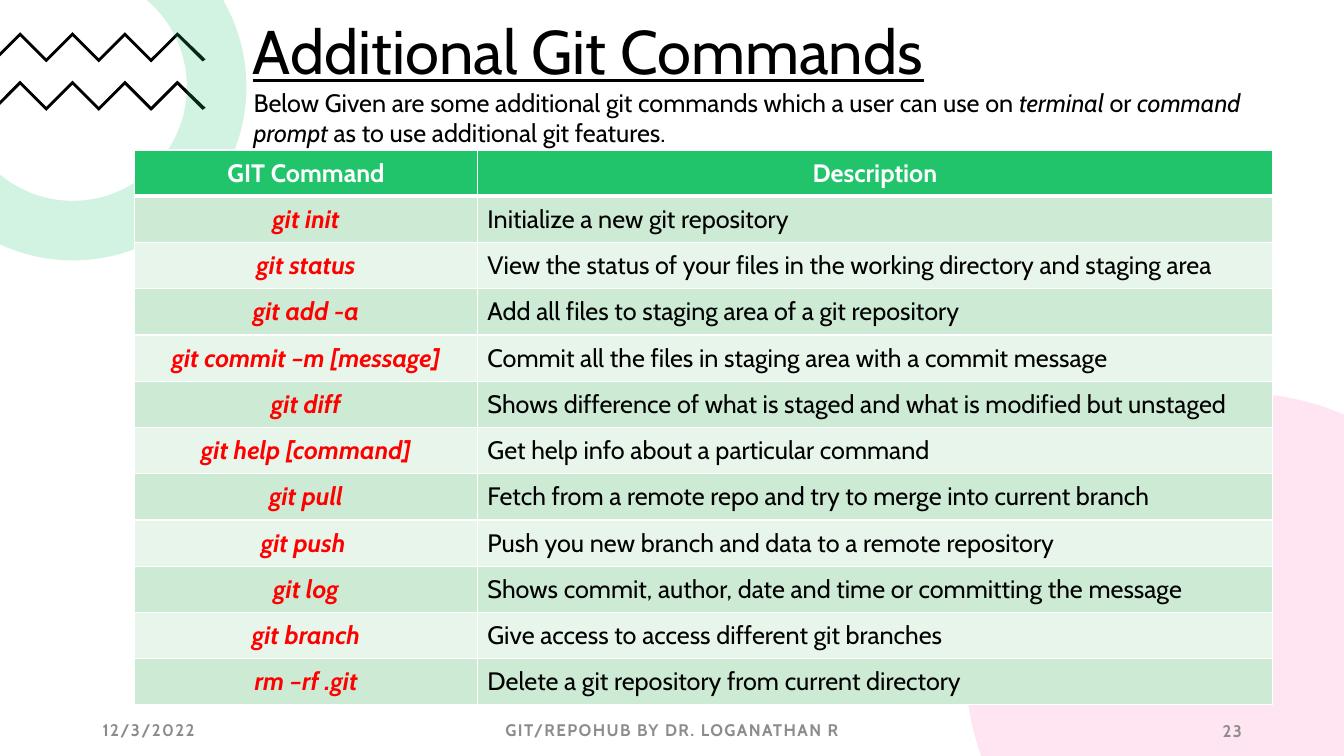
from math import acos, asin, ceil, cos, floor, pi, sin, tan

from lxml.etree import SubElement
from pptx import Presentation
from pptx.dml.color import RGBColor
from pptx.enum.text import MSO_ANCHOR, PP_ALIGN
from pptx.oxml.ns import qn
from pptx.util import Pt

COLORS = {
    "green": "21C46B",
    "pink": "FF80BD",
    "black": "000000",
    "white": "FFFFFF",
    "red": "FF0000",
    "grey": "8C8C8C",
    "band_dark": "CDEAD4",
    "band_light": "E8F5EB",
}
FONT = "Cabin"
PAGE_WIDTH, PAGE_HEIGHT = 960, 540

TITLE = "Additional Git Commands"
INTRO = [
    ("Below Given are some additional git commands which a user can use on ", False),
    ("terminal", True),
    (" or ", False),
    ("command prompt", True),
    (" as to use additional git features.", False),
]
HEADINGS = ("GIT Command", "Description")
COMMANDS = [
    ("git init", "Initialize a new git repository"),
    ("git status", "View the status of your files in the working directory and staging area"),
    ("git add -a", "Add all files to staging area of a git repository"),
    ("git commit –m [message]", "Commit all the files in staging area with a commit message"),
    ("git diff", "Shows difference of what is staged and what is modified but unstaged"),
    ("git help [command]", "Get help info about a particular command"),
    ("git pull", "Fetch from a remote repo and try to merge into current branch"),
    ("git push ", "Push you new branch and data to a remote repository"),
    ("git log", "Shows commit, author, date and time or committing the message"),
    ("git branch", "Give access to access different git branches"),
    ("rm –rf .git", "Delete a git repository from current directory"),
]
FOOTERS = [
    ("12/3/2022", PP_ALIGN.LEFT, (66.2, 506.9, 216, 28.8)),
    ("GIT/REPOHUB BY DR. LOGANATHAN R", PP_ALIGN.CENTER, (318.2, 506.9, 324, 28.8)),
    ("23", PP_ALIGN.RIGHT, (678.2, 507.3, 216, 28.8)),
]


def color(name):
    return RGBColor.from_string(COLORS[name])


def add_span(para, text, size, color_name, bold=False, italic=False):
    span = para.add_run()
    span.text = text
    font = span.font
    font.name, font.size = FONT, Pt(size)
    font.bold, font.italic = bold, italic
    font.color.rgb = color(color_name)
    return span


def add_text_box(page, box):
    frame = page.shapes.add_textbox(*map(Pt, box)).text_frame
    frame.word_wrap = True
    return frame


def add_outline(page, start, segments, color_name, opacity=100):
    points = [(Pt(x), Pt(y)) for segment in segments for x, y in segment]
    builder = page.shapes.build_freeform(Pt(start[0]), Pt(start[1]), scale=1.0)
    builder.add_line_segments(points, close=True)
    shape = builder.convert_to_shape()
    lines = iter(list(shape._element.iter(qn("a:lnTo"))))
    for segment in segments:
        steps = [next(lines) for _ in segment]
        if len(steps) == 3:
            steps[0].tag = qn("a:cubicBezTo")
            for step in steps[1:]:
                steps[0].append(step[0])
                step.getparent().remove(step)
    shape.shadow.inherit = False
    shape.line.fill.background()
    shape.fill.solid()
    shape.fill.fore_color.rgb = color(color_name)
    if opacity < 100:
        tint = shape._element.spPr.find(qn("a:solidFill"))[0]
        SubElement(tint, qn("a:alpha")).set("val", str(opacity * 1000))


def on_circle(center, radius, angle):
    return center[0] + radius * cos(angle), center[1] + radius * sin(angle)


def arc(center, radius, start, end):
    quarter = pi / 2
    low, high = min(start, end), max(start, end)
    stops = [quarter * turn for turn in range(ceil(low / quarter), floor(high / quarter) + 1)]
    angles = [low] + stops + [high]
    if start > end:
        angles.reverse()
    curves = []
    for first, last in zip(angles, angles[1:]):
        pull = 4 / 3 * tan((last - first) / 4) * radius
        (x1, y1), (x2, y2) = (on_circle(center, radius, angle) for angle in (first, last))
        leave = (x1 - pull * sin(first), y1 + pull * cos(first))
        arrive = (x2 + pull * sin(last), y2 - pull * cos(last))
        curves.append([leave, arrive, (x2, y2)])
    return curves


def add_zigzag(page, top):
    step, thickness = 18.72, 2.9
    upper = [(0, top + 14.4)]
    upper += [(14.4 + step * turn, top + step * (turn % 2)) for turn in range(7)]
    lower = [(x, y + thickness) for x, y in upper]
    tip = [(146.9, top + 19.4), (144.7, top + 20.9)]
    corners = upper + tip + lower[::-1]
    add_outline(page, corners[0], [[corner] for corner in corners[1:]], "black")


def add_ring(page, center, outer, inner):
    x, y = center
    start, end = -asin(y / outer), acos(-x / outer)
    hole_start, hole_end = acos(-x / inner), -asin(y / inner)
    segments = arc(center, outer, start, end)
    segments += [[on_circle(center, inner, hole_start)]]
    segments += arc(center, inner, hole_start, hole_end)
    add_outline(page, on_circle(center, outer, start), segments, "green", 20)


def add_disc(page, center, radius):
    bottom = pi - asin((PAGE_HEIGHT - center[1]) / radius)
    right = 2 * pi - acos((PAGE_WIDTH - center[0]) / radius)
    segments = arc(center, radius, bottom, right) + [[(PAGE_WIDTH, PAGE_HEIGHT)]]
    add_outline(page, on_circle(center, radius, bottom), segments, "pink", 20)


def add_title(page, box):
    title = page.shapes.title
    title.left, title.top, title.width, title.height = map(Pt, box)
    frame = title.text_frame
    frame.vertical_anchor = MSO_ANCHOR.MIDDLE
    para = frame.paragraphs[0]
    para.alignment = PP_ALIGN.CENTER
    add_span(para, TITLE, 44, "black").font.underline = True


def add_intro(page, box):
    para = add_text_box(page, box).paragraphs[0]
    for text, italic in INTRO:
        add_span(para, text, 18, "black", italic=italic)


def add_footer(page, text, alignment, box):
    frame = add_text_box(page, box)
    frame.vertical_anchor = MSO_ANCHOR.MIDDLE
    para = frame.paragraphs[0]
    para.alignment = alignment
    span = add_span(para, text, 12, "grey", bold=True)
    span.font._element.set("spc", "100")


def format_cell(cell, fill_name, borders):
    properties = cell._tc.get_or_add_tcPr()
    for side, width in borders.items():
        line = SubElement(properties, qn("a:ln" + side), w=str(Pt(width)))
        fill = SubElement(line, qn("a:solidFill"))
        SubElement(fill, qn("a:srgbClr"), val=COLORS["white"])
    cell.fill.solid()
    cell.fill.fore_color.rgb = color(fill_name)
    cell.vertical_anchor = MSO_ANCHOR.MIDDLE


def add_command_table(page, box):
    rows = [HEADINGS] + COMMANDS
    table = page.shapes.add_table(len(rows), 2, *map(Pt, box)).table
    command_width = 244.8
    table.columns[0].width = Pt(command_width)
    table.columns[1].width = Pt(box[2] - command_width)
    for row_index, texts in enumerate(rows):
        table.rows[row_index].height = Pt(box[3] / len(rows))
        header = row_index == 0
        band = "green" if header else "band_dark" if row_index % 2 else "band_light"
        borders = {"L": 1, "R": 1, "T": 3 if row_index == 1 else 1, "B": 3 if header else 1}
        for column_index, text in enumerate(texts):
            cell = table.cell(row_index, column_index)
            format_cell(cell, band, borders)
            command = column_index == 0
            para = cell.text_frame.paragraphs[0]
            para.alignment = PP_ALIGN.CENTER if header or command else PP_ALIGN.LEFT
            text_color = "white" if header else "red" if command else "black"
            add_span(para, text, 18, text_color, header or command, command and not header)


def build_command_page(deck):
    page = deck.slides.add_slide(deck.slide_layouts[5])
    page.background.fill.solid()
    page.background.fill.fore_color.rgb = color("white")
    for top in (23, 57.6):
        add_zigzag(page, top)
    add_ring(page, (52, 62), 124, 81.5)
    add_disc(page, (884, 475), 194.4)
    for footer in FOOTERS:
        add_footer(page, *footer)
    add_command_table(page, (96.2, 107.2, 812.9, 396.6))
    add_title(page, (36.3, -8.6, 767.7, 88.6))
    add_intro(page, (174, 58.6, 740.9, 51.1))


def main():
    deck = Presentation()
    deck.slide_width, deck.slide_height = Pt(PAGE_WIDTH), Pt(PAGE_HEIGHT)
    build_command_page(deck)
    deck.save("out.pptx")


if __name__ == "__main__":
    main()
